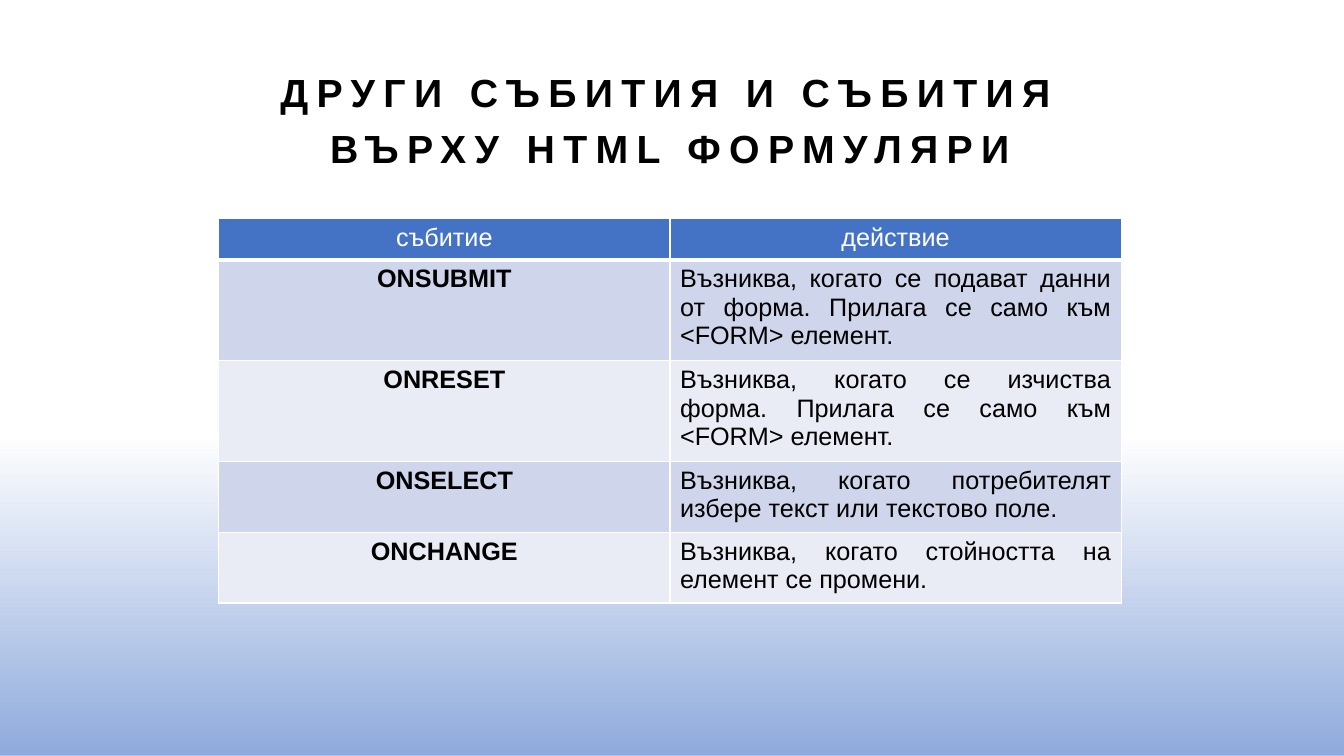
from lxml.etree import SubElement
from pptx import Presentation
from pptx.dml.color import RGBColor
from pptx.enum.shapes import MSO_SHAPE as Preset
from pptx.enum.text import MSO_ANCHOR as Anchor, PP_ALIGN as Align
from pptx.oxml import parse_xml
from pptx.oxml.ns import nsdecls, qn
from pptx.util import Inches, Pt

WHITE = RGBColor(0xFF, 0xFF, 0xFF)
BLACK = RGBColor(0, 0, 0)
GLOW_BLUE = RGBColor(0x8F, 0xAA, 0xDC)
HEADER_BLUE = RGBColor(0x44, 0x72, 0xC4)
BANDS = (RGBColor(0xCF, 0xD5, 0xEA), RGBColor(0xE9, 0xEB, 0xF5))

FONT = "Arial"
LEFT, WIDTH = Inches(2.17), Inches(8.95)
ROW_HEIGHT = Inches(0.41)

TITLE = "ДРУГИ СЪБИТИЯ И СЪБИТИЯ ВЪРХУ HTML ФОРМУЛЯРИ"
HEADERS = ("събитие", "действие")
EVENTS = (
    ("ONSUBMIT", "Възниква, когато се подават данни от форма. Прилага се само към <FORM> елемент."),
    ("ONRESET", "Възниква, когато се изчиства форма. Прилага се само към <FORM> елемент."),
    ("ONSELECT", "Възниква, когато потребителят избере текст или текстово поле."),
    ("ONCHANGE", "Възниква, когато стойността на елемент се промени."),
)


def style_paragraph(paragraph, size, color, bold, align):
    paragraph.alignment = align
    font = paragraph.font
    font.name = FONT
    font.size = Pt(size)
    font.bold = bold
    font.color.rgb = color


def add_glow(slide):
    glow = slide.shapes.add_shape(
        Preset.RECTANGLE, 0, Inches(3.84), Inches(13.33), Inches(3.66))
    glow.shadow.inherit = False
    glow.line.fill.background()
    glow.fill.gradient()
    glow.fill.gradient_angle = 270
    for stop, position in zip(glow.fill.gradient_stops, (0.14, 1)):
        stop.position = position
        stop.color.rgb = GLOW_BLUE
    clear_color = next(glow._element.spPr.iter(qn("a:srgbClr")))
    SubElement(clear_color, qn("a:alpha"), val="0")


def add_title(slide):
    title = slide.shapes.add_textbox(LEFT, Inches(0.5), WIDTH, Inches(1.25))
    frame = title.text_frame
    frame.word_wrap = True
    frame.vertical_anchor = Anchor.BOTTOM
    paragraph = frame.paragraphs[0]
    paragraph.line_spacing = 1.2
    style_paragraph(paragraph, 28, BLACK, True, Align.CENTER)
    run = paragraph.add_run()
    run.text = TITLE
    run.font._element.set("spc", "600")


def set_borders(cell, bottom):
    properties = cell._tc.get_or_add_tcPr()
    widths = {"lnL": 1, "lnR": 1, "lnT": 1, "lnB": bottom}
    for index, (side, width) in enumerate(widths.items()):
        properties.insert(index, parse_xml(
            f'<a:{side} {nsdecls("a")} w="{Pt(width)}"><a:solidFill>'
            f'<a:srgbClr val="{WHITE}"/></a:solidFill></a:{side}>'))


def fill_cell(cell, text, fill, color, bold, align, bottom=1):
    cell.text = text
    cell.fill.solid()
    cell.fill.fore_color.rgb = fill
    style_paragraph(cell.text_frame.paragraphs[0], 18, color, bold, align)
    set_borders(cell, bottom)


def add_events_table(slide):
    row_count = len(EVENTS) + 1
    table = slide.shapes.add_table(
        row_count, len(HEADERS), LEFT, Inches(2.17), WIDTH, ROW_HEIGHT * row_count).table
    for column, header in enumerate(HEADERS):
        fill_cell(table.cell(0, column), header, HEADER_BLUE, WHITE, False, Align.CENTER, bottom=3)
    for row, (event, action) in enumerate(EVENTS, start=1):
        band = BANDS[(row - 1) % 2]
        fill_cell(table.cell(row, 0), event, band, BLACK, True, Align.CENTER)
        fill_cell(table.cell(row, 1), action, band, BLACK, False, Align.JUSTIFY)


def main():
    presentation = Presentation()
    presentation.slide_width = Inches(13.33)
    presentation.slide_height = Inches(7.5)
    slide = presentation.slides.add_slide(presentation.slide_layouts[6])
    add_glow(slide)
    add_title(slide)
    add_events_table(slide)
    presentation.save("out.pptx")


if __name__ == "__main__":
    main()
